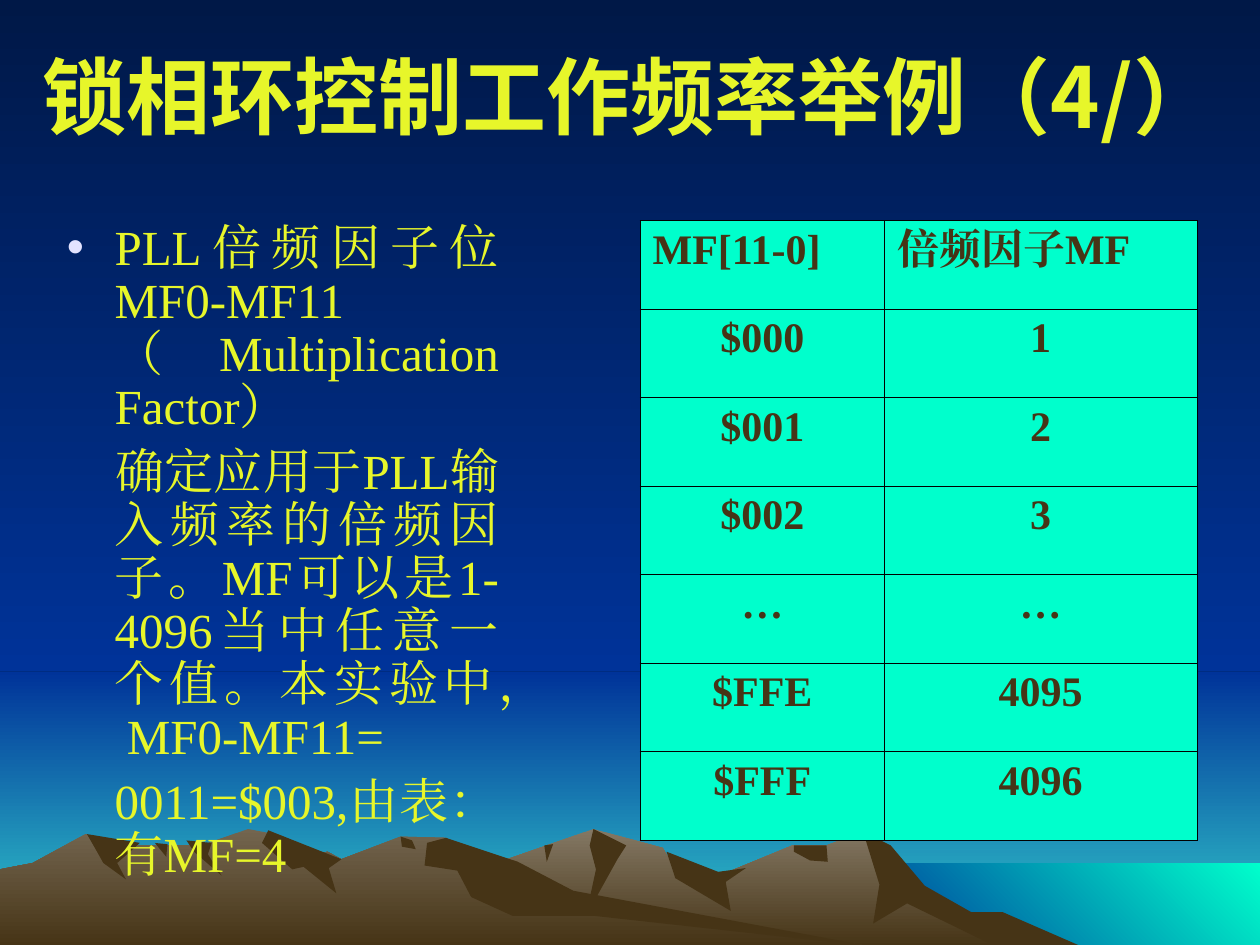
from lxml.etree import SubElement
from pptx import Presentation
from pptx.dml.color import RGBColor
from pptx.enum.shapes import MSO_SHAPE
from pptx.enum.text import MSO_ANCHOR, MSO_AUTO_SIZE, PP_ALIGN
from pptx.oxml.ns import qn
from pptx.util import Inches, Pt

TITLE = "锁相环控制工作频率举例（4/）"
NOTES = [
    "PLL倍频因子位MF0-MF11（Multiplication Factor）",
    "\t确定应用于PLL输入频率的倍频因子。MF可以是1-4096当中任意一个值。本实验中， MF0-MF11=",
    "\t0011=$003,由表：有MF=4",
]
FACTORS = [
    ("MF[11-0]", "倍频因子MF"),
    ("$000", "1"),
    ("$001", "2"),
    ("$002", "3"),
    ("…", "…"),
    ("$FFE", "4095"),
    ("$FFF", "4096"),
]
COLUMN_WIDTHS = (1.94, 2.48)
TABLE_HEIGHT = 4.92

YELLOW, BROWN, MINT = "E7F62A", "463416", "00FFCC"
NIGHT, BLUE = "001847", "003399"
TITLE_FONT = {"name": "Noto Sans CJK SC", "size": Pt(48), "bold": True}
NOTE_FONT = {"name": "Times New Roman", "size": Pt(28), "bold": False}
CELL_FONT = {"name": "Times New Roman", "size": Pt(24), "bold": True}

DOWN, UP_RIGHT = 270, 45
# left, top, width, height, colours, gradient angle
BANDS = [
    (0, 5.33, 10, 2.17, (BLUE, "33CCCC"), DOWN),
    (0, 0, 10, 5.33, (NIGHT, BLUE), DOWN),
    (6.83, 6.85, 3.17, 0.67, (BLUE, MINT), UP_RIGHT),
]
# Mountain outlines in inches, back to front
SHADE = (BROWN,)
MOUNTAINS = [
    (("847864", BROWN), [
        (8.21, 7.51), (7.64, 7.23), (7.23, 6.98), (6.85, 6.6), (6.56, 6.71), (6.29, 6.71),
        (5.66, 6.97), (5.36, 6.9), (5.26, 6.73), (4.71, 6.58), (3.94, 6.85), (3.27, 7.09),
        (2.58, 7.51)]),
    (SHADE, [
        (6.85, 6.6), (6.98, 7.02), (6.93, 7.33), (7.2, 7.17), (7.92, 7.52), (8.58, 7.51),
        (7.96, 7.24), (7.71, 7.24), (7.34, 7.03), (7.07, 6.71)]),
    (SHADE, [
        (4.71, 6.58), (4.68, 6.71), (4.73, 6.9), (4.65, 7.27), (4.9, 6.82), (4.97, 6.71)]),
    (SHADE, [
        (5.29, 6.76), (5.36, 6.97), (5.8, 7.23), (5.76, 7), (5.92, 6.89), (5.7, 6.92)]),
    (SHADE, [(6.3, 6.71), (6.3, 6.76), (6.43, 6.83), (6.57, 6.84), (6.56, 6.71)]),
    (SHADE, [(4.32, 6.71), (4.39, 6.7), (4.34, 6.84)]),
    (("73654F", BROWN), [
        (6.9, 7.51), (4.32, 7.12), (3.54, 6.65), (3.18, 6.64), (2.71, 6.82), (2.6, 6.76),
        (2.36, 6.81), (2.23, 6.63), (1.97, 6.58), (1.6, 6.71), (0.94, 6.71), (0.68, 6.62),
        (0.26, 6.85), (0, 6.9), (0, 7.51)]),
    (SHADE, [
        (2.13, 6.59), (2.08, 6.69), (2.32, 6.9), (2.41, 6.88), (2.67, 7.09), (2.61, 6.89),
        (2.71, 6.82)]),
    (SHADE, [
        (3.54, 6.65), (3.39, 6.69), (3.37, 6.87), (3.63, 6.91), (3.74, 7.12), (4.07, 7.27),
        (4.72, 7.27), (6.9, 7.51), (4.55, 7.07), (4.11, 6.84)]),
    (SHADE, [(3.18, 6.64), (3.27, 6.67), (3.3, 6.74), (3.19, 6.72)]),
    (SHADE, [(1.48, 6.67), (1.68, 6.69), (1.65, 6.78), (1.76, 6.95), (1.54, 6.76)]),
    (SHADE, [(1.23, 6.69), (1.33, 6.7), (1.32, 6.8)]),
    (SHADE, [
        (0.69, 6.62), (1.11, 6.69), (0.93, 6.85), (1, 6.98), (0.82, 6.85), (0.77, 6.76)]),
]


def paint(fill, colours, angle=DOWN):
    """Fill with one solid colour, or with a gradient of two."""
    if len(colours) == 1:
        fill.solid()
        fill.fore_color.rgb = RGBColor.from_string(colours[0])
        return
    fill.gradient()
    fill.gradient_angle = angle
    for stop, colour in zip(fill.gradient_stops, colours):
        stop.color.rgb = RGBColor.from_string(colour)


def finish(scenery, colours, angle=DOWN):
    paint(scenery.fill, colours, angle)
    scenery.line.fill.background()
    scenery.shadow.inherit = False


def write(paragraph, text, font, colour, align):
    paragraph.alignment = align
    run = paragraph.add_run()
    run.text = text
    for key, value in font.items():
        setattr(run.font, key, value)
    run.font.color.rgb = RGBColor.from_string(colour)
    SubElement(run.font._element, qn("a:ea"), typeface=font["name"])


def set_list_format(paragraph, bulleted):
    """Hanging indent, bullet and one-inch tab stops."""
    props = paragraph._p.get_or_add_pPr()
    props.set("marL", str(Inches(0.38)))
    props.set("indent", str(-Inches(0.38)))
    if bulleted:
        colour = SubElement(props, qn("a:buClr"))
        SubElement(colour, qn("a:srgbClr"), val="E3E3FF")
        SubElement(props, qn("a:buChar"), char="•")
    else:
        SubElement(props, qn("a:buNone"))
    tabs = SubElement(props, qn("a:tabLst"))
    first = 1 if bulleted else 0
    for inch in range(first, first + 8):
        SubElement(tabs, qn("a:tab"), pos=str(Inches(inch)), algn="l")


def set_borders(cell):
    props = cell._tc.get_or_add_tcPr()
    for side in ("a:lnL", "a:lnR", "a:lnT", "a:lnB"):
        line = SubElement(props, qn(side), w=str(Pt(0.45)))
        SubElement(SubElement(line, qn("a:solidFill")), qn("a:srgbClr"), val="000000")


def place(placeholder, left, top, width, height, anchor):
    """Move a placeholder and bring it in front of the scenery."""
    placeholder.left, placeholder.top = Inches(left), Inches(top)
    placeholder.width, placeholder.height = Inches(width), Inches(height)
    frame = placeholder.text_frame
    frame.word_wrap = True
    frame.auto_size = MSO_AUTO_SIZE.NONE
    frame.vertical_anchor = anchor
    placeholder._element.getparent().append(placeholder._element)
    return frame


prs = Presentation()
prs.slide_width, prs.slide_height = Inches(10), Inches(7.5)
slide = prs.slides.add_slide(prs.slide_layouts[1])
shapes = slide.shapes
paint(slide.background.fill, (NIGHT, BLUE))

for *box, colours, angle in BANDS:
    finish(shapes.add_shape(MSO_SHAPE.RECTANGLE, *map(Inches, box)), colours, angle)
for colours, outline in MOUNTAINS:
    start, *ridge = [(Inches(x), Inches(y)) for x, y in outline]
    builder = shapes.build_freeform(*start)
    builder.add_line_segments(ridge, close=True)
    finish(builder.convert_to_shape(), colours)

heading = place(shapes.title, 0, 0, 10, 1.5, MSO_ANCHOR.MIDDLE)
write(heading.paragraphs[0], TITLE, TITLE_FONT, YELLOW, PP_ALIGN.CENTER)

body = place(slide.placeholders[1], 0.43, 1.72, 3.63, 5.78, MSO_ANCHOR.TOP)
for index, note in enumerate(NOTES):
    paragraph = body.add_paragraph() if index else body.paragraphs[0]
    set_list_format(paragraph, bulleted=index == 0)
    paragraph.line_spacing = 0.9
    paragraph.space_before = Pt(7 if index else 0)
    write(paragraph, note, NOTE_FONT, YELLOW, PP_ALIGN.JUSTIFY)

table = shapes.add_table(len(FACTORS), len(COLUMN_WIDTHS), Inches(5.08), Inches(1.75),
                         Inches(sum(COLUMN_WIDTHS)), Inches(TABLE_HEIGHT)).table
for column, width in zip(table.columns, COLUMN_WIDTHS):
    column.width = Inches(width)
for r, factor_row in enumerate(FACTORS):
    for c, value in enumerate(factor_row):
        cell = table.cell(r, c)
        set_borders(cell)
        paint(cell.fill, (MINT,))
        write(cell.text_frame.paragraphs[0], value, CELL_FONT, BROWN,
              PP_ALIGN.CENTER if r else PP_ALIGN.LEFT)

prs.save("out.pptx")
